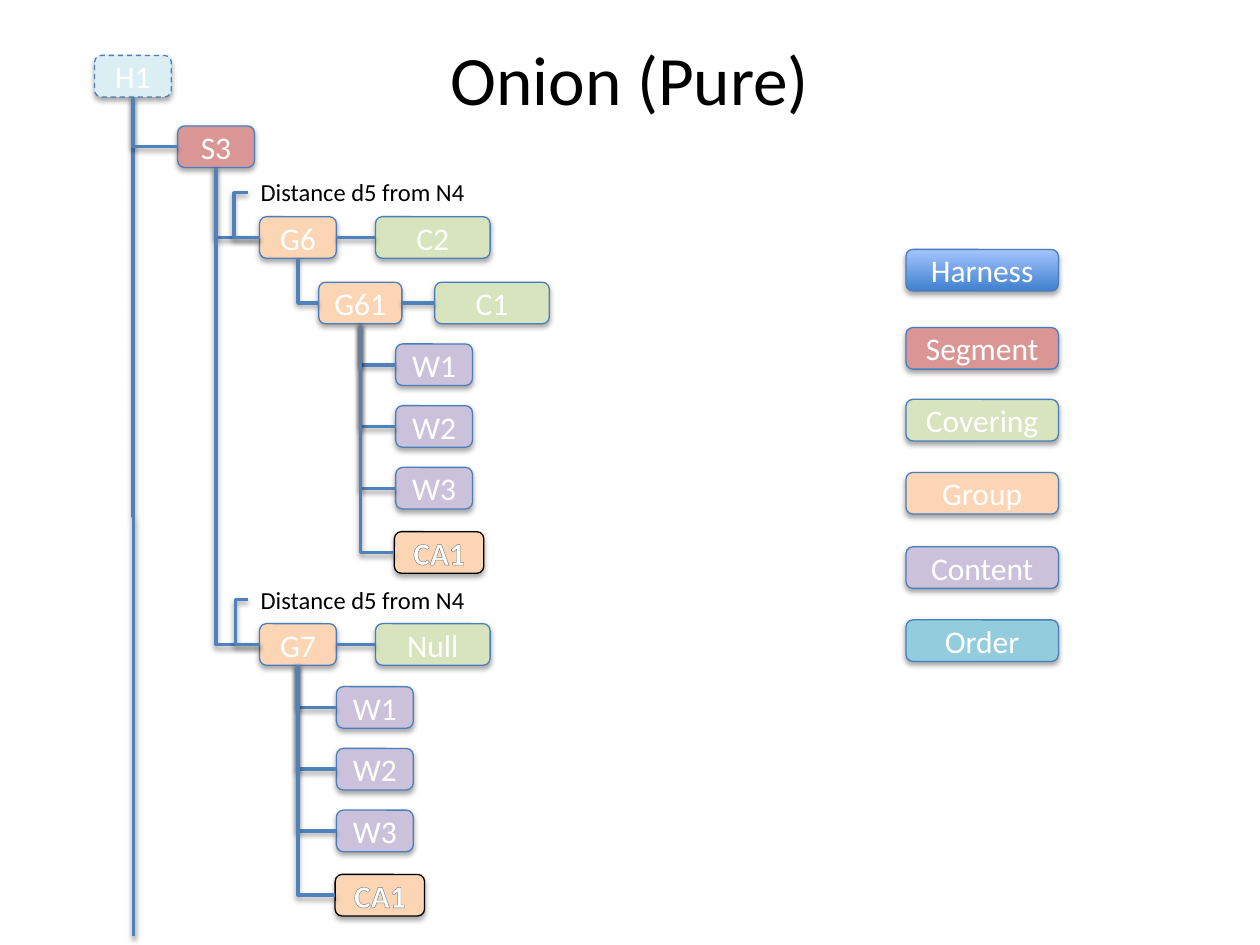
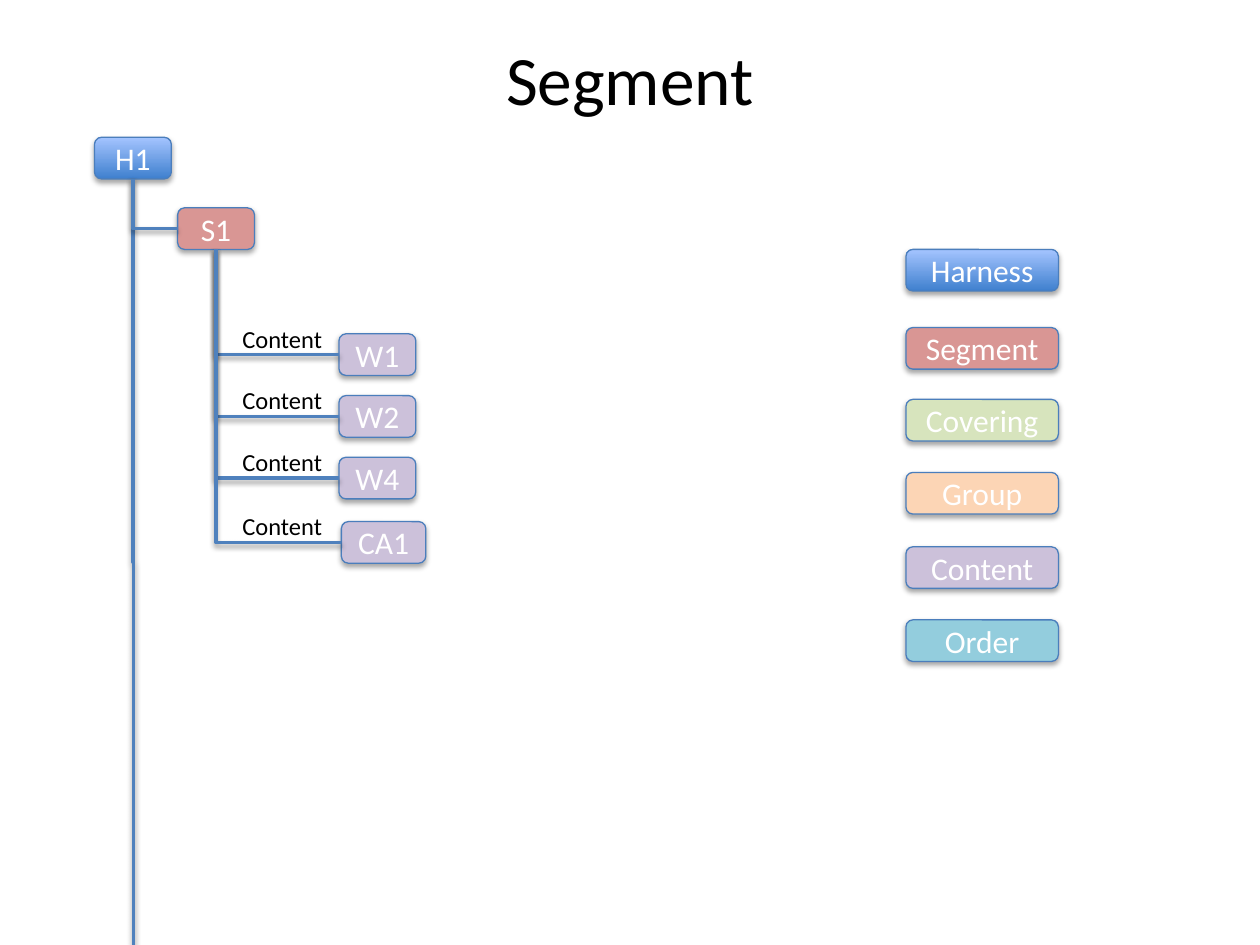
"""Build two slides showing harness structures as trees beside a colour legend."""
from dataclasses import dataclass

from lxml import etree
from pptx import Presentation
from pptx import util as u
from pptx.dml.color import RGBColor
from pptx.enum import dml, shapes, text
from pptx.oxml.ns import qn


@dataclass(frozen=True)
class Theme:
    font: str = "Calibri"
    title_size: float = 39.6
    box_size: float = 18
    label_size: float = 14
    black: str = "000000"
    white: str = "FFFFFF"
    outline: str = "7D7D7D"
    glyph_shade: str = "7F7F7F"
    border: str = "4B7EBC"
    connector: str = "4F81BD"
    harness: tuple[str, str] = ("3F80CE", "A4C4FF")
    faded_harness: str = "DBEEF4"
    segment: str = "D99694"
    covering: str = "D7E4BD"
    group: str = "FCD5B5"
    content: str = "CCC1DA"
    order: str = "93CDDD"


THEME = Theme()
BOX_HEIGHT = 0.33
COVERING_WIDTH = 0.91
LEGEND_LEFT, LEGEND_WIDTH = 7.19, 1.21
LEGEND = [
    ("Harness", THEME.harness, 1.98),
    ("Segment", THEME.segment, 2.6),
    ("Covering", THEME.covering, 3.17),
    ("Group", THEME.group, 3.75),
    ("Content", THEME.content, 4.34),
    ("Order", THEME.order, 4.92),
]
ROW_OFFSETS = (0, 0.49, 0.98, 1.49)


@dataclass(frozen=True)
class Box:
    text: str
    left: float
    top: float
    fill: str | tuple[str, str]
    width: float = 0.61
    border: str = THEME.border
    dashed: bool = False
    outlined: bool = False


def add_xml(parent, tag: str, **attributes):
    return etree.SubElement(parent, qn(tag), {key: str(value) for key, value in attributes.items()})


def add_shadow(shape, opacity: int, distance: float) -> None:
    effects = add_xml(shape._element.spPr, "a:effectLst")
    shadow = add_xml(effects, "a:outerShdw", blurRad=u.Pt(3.1), dist=u.Pt(distance),
                     dir=90 * 60000, rotWithShape=0)
    color = add_xml(shadow, "a:srgbClr", val=THEME.black)
    add_xml(color, "a:alpha", val=opacity * 1000)


def outline_glyphs(run) -> None:
    properties = run._r.get_or_add_rPr()
    line = add_xml(properties, "a:ln", w=u.Pt(0.83))
    add_xml(add_xml(line, "a:solidFill"), "a:srgbClr", val=THEME.outline)
    gradient = add_xml(properties, "a:gradFill")
    stops = add_xml(gradient, "a:gsLst")
    for position in (0, 9, 50, 79, 100):
        color = THEME.glyph_shade if position == 50 else THEME.white
        add_xml(add_xml(stops, "a:gs", pos=position * 1000), "a:srgbClr", val=color)
    add_xml(gradient, "a:lin", ang=90 * 60000)


def write(shape, content: str, *, size: float, color: str = THEME.black, centered: bool = True,
          middle: bool = True, outlined: bool = False) -> None:
    frame = shape.text_frame
    frame.word_wrap = True
    frame.vertical_anchor = text.MSO_ANCHOR.MIDDLE if middle else text.MSO_ANCHOR.TOP
    paragraph = frame.paragraphs[0]
    paragraph.alignment = text.PP_ALIGN.CENTER if centered else text.PP_ALIGN.LEFT
    run = paragraph.add_run()
    run.text = content
    if outlined:
        outline_glyphs(run)
    else:
        run.font.color.rgb = RGBColor.from_string(color)
    run.font.bold = outlined
    run.font.size = u.Pt(size)
    run.font.name = THEME.font


def add_box(slide, box: Box):
    shape = slide.shapes.add_shape(
        shapes.MSO_SHAPE.ROUNDED_RECTANGLE, u.Inches(box.left), u.Inches(box.top),
        u.Inches(box.width), u.Inches(BOX_HEIGHT))
    if isinstance(box.fill, tuple):
        shape.fill.gradient()
        shape.fill.gradient_angle = 90
        for stop, color in zip(shape.fill.gradient_stops, box.fill):
            stop.color.rgb = RGBColor.from_string(color)
    else:
        shape.fill.solid()
        shape.fill.fore_color.rgb = RGBColor.from_string(box.fill)
    shape.line.color.rgb = RGBColor.from_string(box.border)
    shape.line.width = u.Pt(0.75)
    if box.dashed:
        shape.line.dash_style = dml.MSO_LINE.DASH
    add_shadow(shape, 35, 1.8)
    write(shape, box.text, size=THEME.box_size, color=THEME.white, outlined=box.outlined)
    return shape


def add_label(slide, content: str, left: float, top: float, width: float, centered: bool):
    label = slide.shapes.add_textbox(
        u.Inches(left), u.Inches(top), u.Inches(width), u.Inches(0.34))
    write(label, content, size=THEME.label_size, centered=centered, middle=False)
    label.text_frame.auto_size = text.MSO_AUTO_SIZE.SHAPE_TO_FIT_TEXT
    return label


def add_line(slide, kind, start, start_side: int, end=None, end_side: int = 1,
             end_point: tuple[float, float] = (0, 0)):
    end_x, end_y = (u.Inches(value) for value in end_point)
    connector = slide.shapes.add_connector(kind, 0, 0, end_x, end_y)
    connector.begin_connect(start, start_side)
    if end is not None:
        connector.end_connect(end, end_side)
    connector.line.color.rgb = RGBColor.from_string(THEME.connector)
    connector.line.width = u.Pt(2)
    add_shadow(connector, 38, 1.6)
    return connector


def turn_downward(connector, preset: str) -> None:
    center_x = (connector.begin_x + connector.end_x) // 2
    center_y = (connector.begin_y + connector.end_y) // 2
    width, height = connector.height, connector.width
    connector.left, connector.top = center_x - width // 2, center_y - height // 2
    connector.width, connector.height = width, height
    properties = connector._element.spPr
    frame = properties.find(qn("a:xfrm"))
    frame.set("rot", str(270 * 60000))
    frame.set("flipH", "1")
    properties.find(qn("a:prstGeom")).set("prst", preset)


def add_branch(slide, parent, child) -> None:
    connector = add_line(slide, shapes.MSO_CONNECTOR.ELBOW, parent, 2, child)
    turn_downward(connector, "bentConnector2")


def add_trunk(slide, harness, bottom: float) -> None:
    connector = add_line(slide, shapes.MSO_CONNECTOR.ELBOW, harness, 2, end_point=(1.06, bottom))
    turn_downward(connector, "bentConnector3")


def add_bracket(slide, group, label, bend: float) -> None:
    connector = add_line(slide, shapes.MSO_CONNECTOR.ELBOW, group, 1, label)
    geometry = connector._element.spPr.find(qn("a:prstGeom"))
    guides = geometry.find(qn("a:avLst"))
    if guides is None:
        guides = add_xml(geometry, "a:avLst")
    add_xml(guides, "a:gd", name="adj1", fmla=f"val {round(bend * 100000)}")


def add_child(slide, parent, box: Box):
    child = add_box(slide, box)
    add_branch(slide, parent, child)
    return child


def add_covering(slide, group, name: str, left: float, top: float) -> None:
    covering = add_box(slide, Box(name, left, top, THEME.covering, COVERING_WIDTH))
    add_line(slide, shapes.MSO_CONNECTOR.STRAIGHT, group, 3, covering)


def add_wires(slide, parent, left: float, top: float) -> None:
    for name, offset in zip(("W1", "W2", "W3"), ROW_OFFSETS):
        add_child(slide, parent, Box(name, left, top + offset, THEME.content))
    add_child(slide, parent, Box("CA1", left - 0.01, top + ROW_OFFSETS[-1], THEME.group, 0.71,
                                 border=THEME.black, outlined=True))


def add_distance_group(slide, segment, name: str, covering: str, top: float, bend: float):
    group = add_child(slide, segment, Box(name, 2.06, top, THEME.group))
    add_covering(slide, group, covering, 2.98, top)
    label = add_label(slide, "Distance d5 from N4", 1.97, top - 0.36, 1.82, centered=False)
    add_bracket(slide, group, label, bend)
    return group


def add_base_slide(presentation, title: str):
    slide = presentation.slides.add_slide(presentation.slide_layouts[6])
    heading = slide.shapes.add_textbox(u.Inches(0.5), u.Inches(0.3), u.Inches(9), u.Inches(0.63))
    write(heading, title, size=THEME.title_size)
    for name, fill, top in LEGEND:
        add_box(slide, Box(name, LEGEND_LEFT, top, fill, LEGEND_WIDTH))
    return slide


def add_root(slide, harness_box: Box, segment_name: str, trunk_bottom: float):
    harness = add_box(slide, harness_box)
    add_trunk(slide, harness, trunk_bottom)
    return add_child(slide, harness,
                     Box(segment_name, 1.41, harness_box.top + 0.56, THEME.segment))


def build_onion(presentation) -> None:
    slide = add_base_slide(presentation, "Onion (Pure)")
    harness = Box("H1", 0.75, 0.44, THEME.faded_harness, dashed=True)
    segment = add_root(slide, harness, "S3", 7.43)
    outer_group = add_distance_group(slide, segment, "G6", "C2", 1.72, 2.25)
    inner_group = add_child(slide, outer_group, Box("G61", 2.53, 2.24, THEME.group, 0.66))
    add_covering(slide, inner_group, "C1", 3.45, 2.24)
    add_wires(slide, inner_group, 3.14, 2.73)
    last_group = add_distance_group(slide, segment, "G7", "Null", 4.95, 2.1)
    add_wires(slide, last_group, 2.67, 5.45)


def build_segment(presentation) -> None:
    slide = add_base_slide(presentation, "Segment")
    segment = add_root(slide, Box("H1", 0.75, 1.09, THEME.harness), "S1", 7.5)
    rows = (("W1", 2.69, 0.61), ("W2", 2.69, 0.61), ("W4", 2.69, 0.61), ("CA1", 2.71, 0.67))
    for (name, left, width), offset in zip(rows, ROW_OFFSETS):
        top = 2.65 + offset
        add_child(slide, segment, Box(name, left, top, THEME.content, width))
        add_label(slide, "Content", 1.82, top - 0.13, 0.84, centered=True)


def main() -> None:
    presentation = Presentation()
    presentation.slide_width = u.Inches(10)
    presentation.slide_height = u.Inches(7.5)
    build_onion(presentation)
    build_segment(presentation)
    presentation.save("out.pptx")


if __name__ == "__main__":
    main()
